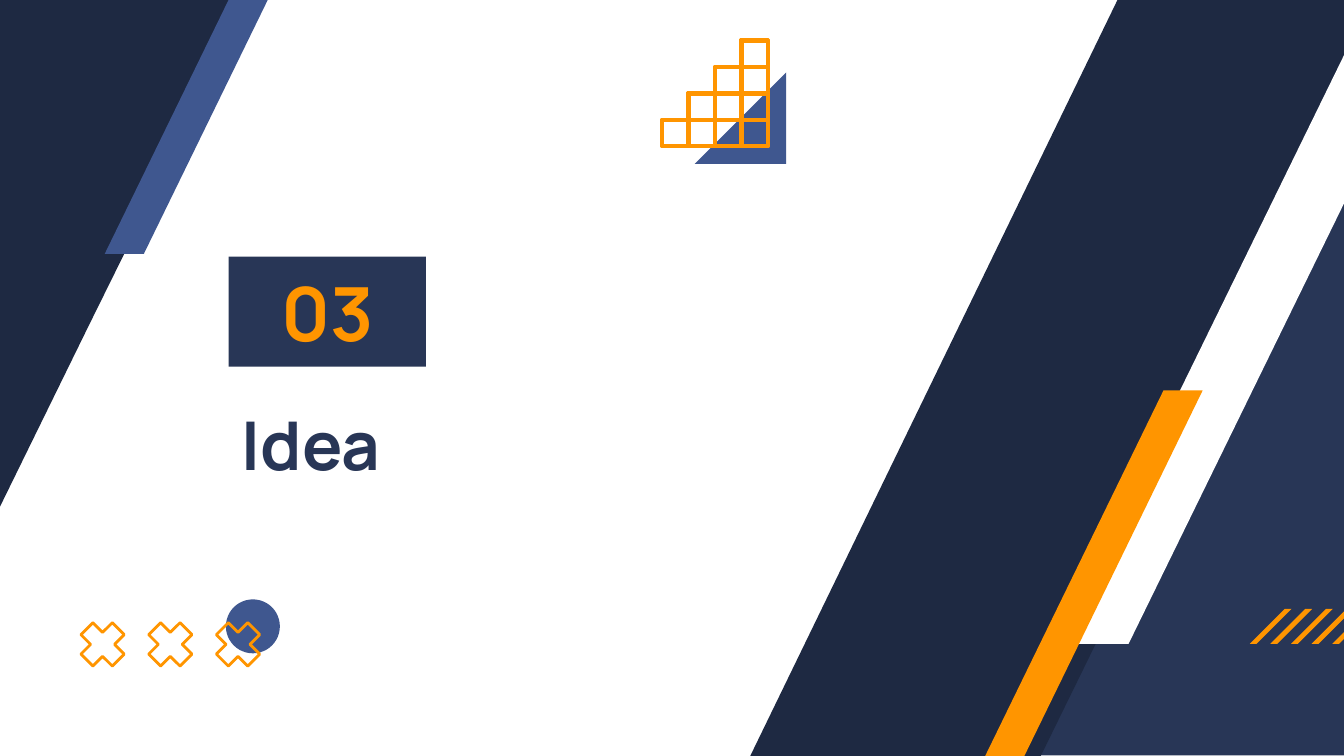
from pptx import Presentation
from pptx.dml.color import RGBColor
from pptx.enum import shapes, text
from pptx.util import Cm, Pt

NAVY = RGBColor(0x1E, 0x29, 0x42)
INK = RGBColor(0x28, 0x36, 0x56)
BLUE = RGBColor(0x3F, 0x57, 0x8F)
ORANGE = RGBColor(0xFF, 0x95, 0x00)
WHITE = RGBColor(0xFF, 0xFF, 0xFF)
KIND = shapes.MSO_SHAPE

# Content: text, box, size, colour, alignment (lengths in cm)
TITLE = ("Idea", (4.32, 7.34, 11.1, 2.08), 36, INK, text.PP_ALIGN.LEFT)
NUMBER = ("03", (4.32, 4.85, 3.73, 2.08), 40, ORANGE, text.PP_ALIGN.CENTER)

# Decoration
BAND = [(-0.86, 0), (-7.8, 14.29), (-2.31, 14.29), (1.68, 6.15), (4.72, 0)]
SHIFT = 21.98                                # left band to right band
BAR = (4.11, 6.91, 0.74)                     # width, height, edge
STRIPE = (0.79, 0.66, 0.13)
STEPS, CELL, HOLE, RIM = 4, 0.5, 0.47, 0.03  # staircase grid
STAIR_X, STAIR_Y = 12.5, 2.78                # its bottom left corner

prs = Presentation()
prs.slide_width, prs.slide_height = Cm(25.4), Cm(14.29)
slide = prs.slides.add_slide(prs.slide_layouts[5])
slide.background.fill.solid()
slide.background.fill.fore_color.rgb = WHITE


def paint(shape, fill, line=None):
    shape.shadow.inherit = False
    if fill is None:
        shape.fill.background()
    else:
        shape.fill.solid()
        shape.fill.fore_color.rgb = fill
    if line is None:
        shape.line.fill.background()
    else:
        shape.line.color.rgb = line
        shape.line.width = Pt(1.5)
    return shape


def add(kind, box, fill, line=None):
    shape = slide.shapes.add_shape(kind, *map(Cm, box))
    return paint(shape, fill, line)


def draw(rings, fill, line=None):
    rings = [[(Cm(x), Cm(y)) for x, y in ring] for ring in rings]
    pen = slide.shapes.build_freeform(*rings[0][0])
    for num, ring in enumerate(rings):
        if num:
            pen.move_to(*ring[0])
        pen.add_line_segments(ring[1:], close=True)
    return paint(pen.convert_to_shape(), fill, line)


def slash(x, y, size, fill):
    w, h, edge = size
    draw([[(x + w - edge, y), (x, y + h), (x + edge, y + h), (x + w, y)]], fill)


def wedge(box, fill):
    shape = add(KIND.RIGHT_TRIANGLE, box, fill)
    shape._element.spPr.get_or_add_xfrm().set("flipH", "1")


def write(shape, item):
    words, box, size, color, align = item
    shape.left, shape.top, shape.width, shape.height = map(Cm, box)
    frame = shape.text_frame
    frame.text = words
    frame.word_wrap = True
    frame.auto_size = text.MSO_AUTO_SIZE.NONE
    frame.vertical_anchor = text.MSO_ANCHOR.MIDDLE
    frame.margin_left = frame.margin_right = Cm(0.25)
    frame.margin_top = frame.margin_bottom = Cm(0.25)
    para = frame.paragraphs[0]
    para.alignment = align
    font = para.runs[0].font
    font.name, font.size, font.bold = "Manrope", Pt(size), True
    font.color.rgb = color


# Left corner
draw([BAND], NAVY)
slash(1.98, -2.11, BAR, BLUE)

# Title and section number
write(slide.shapes.title, TITLE)
write(add(KIND.RECTANGLE, NUMBER[1], INK), NUMBER)

# Staircase: outline going down each step, then one hole per cell
wedge((13.13, 1.37, 1.73, 1.73), BLUE)
right = STAIR_X + STEPS * CELL + RIM
rim = [(right, STAIR_Y), (STAIR_X, STAIR_Y)]
for col in range(STEPS):
    x, y = STAIR_X + col * CELL, STAIR_Y - (col + 1) * CELL - RIM
    end = right if col == STEPS - 1 else x + CELL
    rim += [(x, y), (end, y)]
holes = []
for col in range(STEPS):
    for row in range(col + 1):
        x = STAIR_X + RIM + col * CELL
        y = STAIR_Y - RIM - row * CELL
        holes.append([(x, y - HOLE), (x, y), (x + HOLE, y), (x + HOLE, y - HOLE)])
draw([rim] + holes, ORANGE, ORANGE)

# Right side
wedge((19.38, 1.02, 6.4, 13.26), INK)
draw([[(x + SHIFT, y) for x, y in BAND]], NAVY)
slash(19.96, -0.61, (7.62, 12.78, 1.37), WHITE)
slash(18.62, 7.38, BAR, ORANGE)

# Circle and crosses
add(KIND.OVAL, (4.27, 11.33, 1.02, 1.02), BLUE)
for num in range(3):
    cross = add(KIND.CROSS, (1.52 + num * 1.28, 11.76, 0.84, 0.84), None, ORANGE)
    cross.adjustments[0] = 0.31
    cross.rotation = 315

# Stripes
for num in range(5):
    slash(23.62 + num * 0.39, 11.51, STRIPE, ORANGE)

prs.save("out.pptx")
